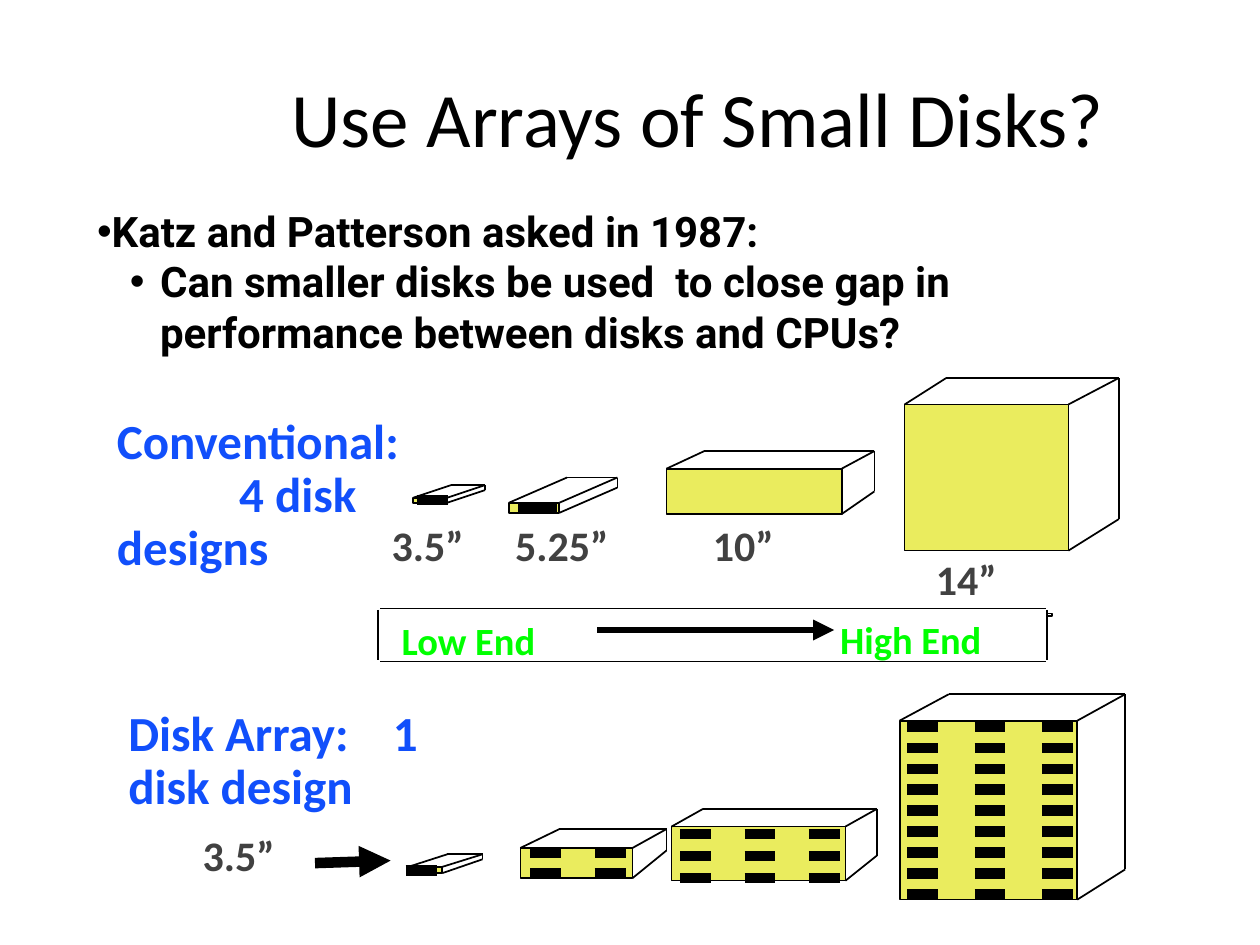
from dataclasses import dataclass
from typing import NamedTuple, Optional

import pptx
import pptx.dml.color
import pptx.enum.shapes
import pptx.enum.text
import pptx.oxml.ns
import pptx.util
from lxml import etree

COLUMNS, ROWS = 100, 75
CELL = pptx.util.Inches(0.1)


@dataclass(frozen=True)
class Theme:
    black: str = "000000"
    white: str = "FFFFFF"
    disk: str = "EAEC5E"
    heading: str = "114FFB"
    size_label: str = "414141"
    scale: str = "00FF00"
    title_size: int = 44
    heading_size: int = 28
    body_size: int = 24
    scale_size: int = 22
    thin: int = 1
    arrow: int = 4
    slot: int = 6
    font: str = "Calibri"
    body_font: str = "Roboto"


class Box(NamedTuple):
    left: float
    top: float
    right: float
    bottom: float


class Slots(NamedTuple):
    left: float
    top: float
    columns: int = 1
    rows: int = 1
    column_step: float = 0
    row_step: float = 0
    length: float = 2.45


class Disk(NamedTuple):
    front: Box
    back: Box
    slots: Optional[Slots] = None


class Label(NamedTuple):
    text: str
    box: Box
    size: int
    color: str
    tab: Optional[float] = None


THEME = Theme()

DISKS = [
    Disk(Box(32.8, 39.5, 35.5, 39.9), Box(35.8, 38.5, 38.5, 38.9), Slots(33.1, 39.7)),
    Disk(Box(40.4, 39.9, 44.4, 40.7), Box(45, 37.9, 49, 38.7), Slots(41.1, 40.35, length=3.1)),
    Disk(Box(52.9, 37.2, 66.8, 40.8), Box(55.9, 35.8, 69.4, 39)),
    Disk(Box(71.8, 32.1, 84.8, 43.7), Box(75.1, 30, 88.8, 41.2)),
    Disk(Box(32.4, 68.8, 35.1, 69.3), Box(35.5, 67.8, 38.3, 68.2), Slots(32.2, 69.1)),
    Disk(Box(41.3, 67.3, 50.2, 69.7), Box(44.4, 65.8, 52.9, 67.5),
         Slots(42.1, 67.7, 2, 2, 5.1, 1.6)),
    Disk(Box(53.3, 65.6, 67.1, 69.9), Box(55.8, 64.2, 69.6, 67.9),
         Slots(54, 66.2, 3, 3, 5.1, 1.75)),
    Disk(Box(71.4, 57.2, 85.5, 71.4), Box(75.3, 55.1, 89.3, 69),
         Slots(72, 57.7, 3, 9, 5.35, 1.66)),
]

LABELS = [
    Label("Conventional:\v\t4 disk\vdesigns", Box(8.3, 32.6, 37.4, 46.2),
          THEME.heading_size, THEME.heading, 9.7),
    Label("Disk Array:\t1\vdisk design", Box(9.2, 55.8, 38.1, 65.2),
          THEME.heading_size, THEME.heading, 21),
    Label("Low End", Box(30.9, 48.9, 47.5, 53.2), THEME.scale_size, THEME.scale),
    Label("High End", Box(65.7, 48.8, 82.3, 53.1), THEME.scale_size, THEME.scale),
] + [
    Label(text, Box(left, top, left + width, top + 4.6), THEME.body_size, THEME.size_label)
    for text, left, top, width in [
        ("3.5”", 30.1, 41.2, 13.7), ("5.25”", 39.9, 41.2, 13.7),
        ("10”", 55.6, 41.2, 9.8), ("14”", 73.3, 43.9, 9.1), ("3.5”", 15.1, 65.8, 13.7),
    ]
]


def cells(count: float) -> int:
    return round(count * CELL)


def rgb(color: str) -> pptx.dml.color.RGBColor:
    return pptx.dml.color.RGBColor.from_string(color)


def frame(box: Box) -> tuple:
    return tuple(map(cells, (box.left, box.top, box.right - box.left, box.bottom - box.top)))


def place(shape, box: Box) -> None:
    shape.left, shape.top, shape.width, shape.height = frame(box)


def child(parent, tag: str, **attributes: str):
    return etree.SubElement(parent, pptx.oxml.ns.qn(tag), **attributes)


def write(paragraph, text: str, *, size: int, color: str = THEME.black,
          font: str = THEME.font, bold: bool = True, line_spacing: Optional[float] = None,
          level: int = 0, bullet: str = "", margin: float = 0, indent: float = 0,
          tab: Optional[float] = None) -> None:
    paragraph.text = text
    paragraph.level = level
    paragraph.space_before = pptx.util.Pt(0)
    paragraph.line_spacing = line_spacing
    properties = paragraph._p.get_or_add_pPr()
    if bullet:
        properties.set("marL", str(cells(margin)))
        properties.set("indent", str(cells(indent)))
        child(properties, "a:buChar", char=bullet)
    if tab is not None:
        child(child(properties, "a:tabLst"), "a:tab", pos=str(cells(tab)), algn="l")
    for run in paragraph.runs:
        run.font.name = font
        run.font.size = pptx.util.Pt(size)
        run.font.bold = bold
        run.font.color.rgb = rgb(color)


def draw_line(slide, start: tuple, end: tuple, width: float = THEME.thin,
              arrow: bool = False) -> None:
    connector = slide.shapes.add_connector(
        pptx.enum.shapes.MSO_CONNECTOR.STRAIGHT, *map(cells, (*start, *end)))
    connector.line.color.rgb = rgb(THEME.black)
    connector.line.width = pptx.util.Pt(width)
    if arrow:
        child(connector.line._get_or_add_ln(), "a:tailEnd", type="triangle")
    child(connector._element.spPr, "a:effectLst")


def draw_rectangle(slide, box: Box, fill: str) -> None:
    shape = slide.shapes.add_shape(pptx.enum.shapes.MSO_SHAPE.RECTANGLE, *frame(box))
    shape.shadow.inherit = False
    shape.fill.solid()
    shape.fill.fore_color.rgb = rgb(fill)
    shape.line.color.rgb = rgb(THEME.black)
    shape.line.width = pptx.util.Pt(THEME.thin)


def draw_disk(slide, disk: Disk) -> None:
    front, back, slots = disk
    draw_rectangle(slide, front, THEME.disk)
    top_left, top_right, bottom_right = (
        (back.left, back.top), (back.right, back.top), (back.right, back.bottom))
    draw_line(slide, (front.left, front.top), top_left)
    draw_line(slide, (front.right, front.top), top_right)
    draw_line(slide, (front.right, front.bottom), bottom_right)
    draw_line(slide, top_left, top_right)
    draw_line(slide, top_right, bottom_right)
    if slots:
        for column in range(slots.columns):
            for row in range(slots.rows):
                left = slots.left + column * slots.column_step
                top = slots.top + row * slots.row_step
                draw_line(slide, (left, top), (left + slots.length, top), THEME.slot)


def draw_scale(slide, box: Box) -> None:
    draw_rectangle(slide, Box(83.1, 48.7, 83.5, 48.9), THEME.white)
    for y in (box.top, box.bottom):
        draw_line(slide, (box.left + 0.2, y), (box.right - 0.1, y))
    for x in (box.left, box.right):
        draw_line(slide, (x, box.top + 0.1), (x, box.bottom - 0.1))
    draw_line(slide, (47.4, 50), (66.2, 50), THEME.arrow, arrow=True)


def draw_label(slide, label: Label) -> None:
    text_frame = slide.shapes.add_textbox(*frame(label.box)).text_frame
    text_frame.word_wrap = True
    text_frame.auto_size = pptx.enum.text.MSO_AUTO_SIZE.SHAPE_TO_FIT_TEXT
    write(text_frame.paragraphs[0], label.text, size=label.size, color=label.color,
          line_spacing=0.9, tab=label.tab)


def main() -> None:
    presentation = pptx.Presentation()
    presentation.slide_width, presentation.slide_height = COLUMNS * CELL, ROWS * CELL
    slide = presentation.slides.add_slide(presentation.slide_layouts[1])

    title, body = slide.shapes.title, slide.placeholders[1]
    place(title, Box(10.8, 4.2, 100, 14.3))
    write(title.text_frame.paragraphs[0], "Use Arrays of Small Disks?",
          size=THEME.title_size, bold=False)

    place(body, Box(6.7, 15.8, 95.9, 28.8))
    body.text_frame.auto_size = pptx.enum.text.MSO_AUTO_SIZE.NONE
    write(body.text_frame.paragraphs[0], "Katz and Patterson asked in 1987:",
          size=THEME.body_size, font=THEME.body_font, bullet="•")
    write(body.text_frame.add_paragraph(),
          "Can smaller disks be used  to close gap in performance between disks and CPUs?",
          size=THEME.body_size, font=THEME.body_font, bullet="•",
          level=1, margin=5, indent=-2.4)

    draw_scale(slide, Box(30, 48.3, 83.1, 52.5))
    for disk in DISKS:
        draw_disk(slide, disk)
    draw_line(slide, (25, 68.5), (31, 68.3), THEME.slot, arrow=True)
    for label in LABELS:
        draw_label(slide, label)

    presentation.save("out.pptx")


if __name__ == "__main__":
    main()
